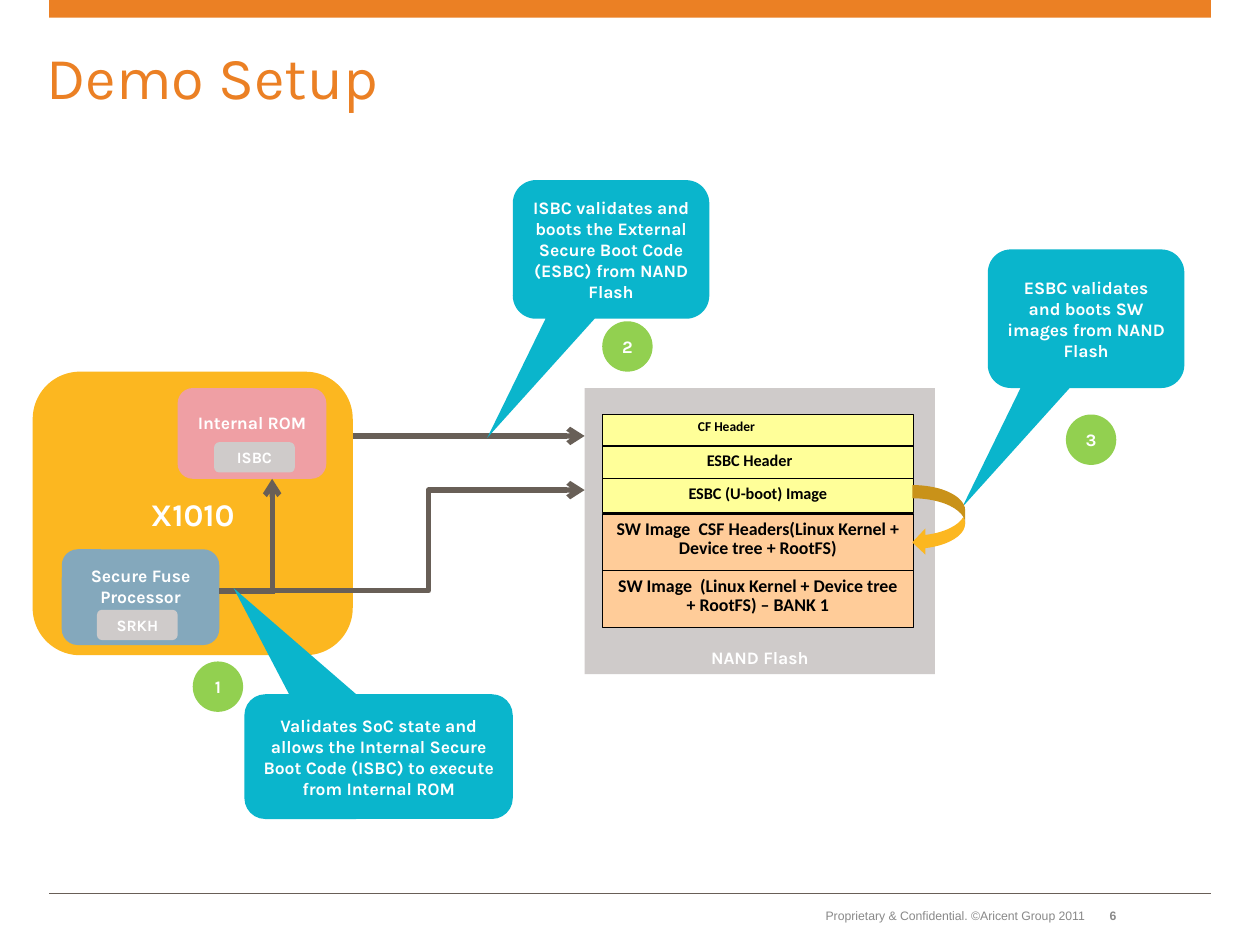
from lxml import etree
from pptx import Presentation
from pptx import util as u
from pptx.dml.color import RGBColor
from pptx.enum import shapes, text
from pptx.oxml.ns import qn

PX = 9144
WHITE = RGBColor(0xFF, 0xFF, 0xFF)
BLACK = RGBColor(0x00, 0x00, 0x00)
ORANGE = RGBColor(0xEB, 0x80, 0x24)
AMBER = RGBColor(0xFC, 0xB7, 0x20)
PINK = RGBColor(0xEF, 0x9F, 0xA4)
STEEL = RGBColor(0x84, 0xA8, 0xBC)
SILVER = RGBColor(0xCF, 0xCB, 0xCA)
YELLOW = RGBColor(0xFF, 0xFF, 0x99)
PEACH = RGBColor(0xFF, 0xCC, 0x99)
CYAN = RGBColor(0x0A, 0xB5, 0xCC)
GREEN = RGBColor(0x92, 0xD0, 0x50)
BROWN = RGBColor(0x68, 0x5F, 0x57)
GREY = RGBColor(0x89, 0x89, 0x89)

KIND = shapes.MSO_SHAPE
LINK = shapes.MSO_CONNECTOR
ANCHOR = text.MSO_ANCHOR
ALIGN = text.PP_ALIGN

deck = Presentation()
deck.slide_width, deck.slide_height = 1000 * PX, 750 * PX
slide = deck.slides.add_slide(deck.slide_layouts[5])


def box(kind, x, y, w, h, fill, words="", size=10, face="Karla", color=WHITE):
    shape = slide.shapes.add_shape(kind, x * PX, y * PX, w * PX, h * PX)
    shape.shadow.inherit = False
    shape.fill.solid()
    shape.fill.fore_color.rgb = fill
    shape.line.fill.background()
    if words:
        frame = shape.text_frame
        frame.word_wrap = True
        frame.vertical_anchor = ANCHOR.MIDDLE
        para = frame.paragraphs[0]
        para.text = words
        para.alignment = ALIGN.CENTER
        para.font.size = u.Pt(size)
        para.font.name = face
        para.font.bold = True
        para.font.color.rgb = color
    return shape


def link(kind, x1, y1, x2, y2, width, arrow):
    line = slide.shapes.add_connector(kind, x1 * PX, y1 * PX, x2 * PX, y2 * PX)
    line.line.color.rgb = BROWN
    line.line.width = u.Pt(width)
    if arrow:
        etree.SubElement(line.line._get_or_add_ln(), qn("a:tailEnd"), type="arrow")
    etree.SubElement(line._element.spPr, qn("a:effectLst"))


link(LINK.STRAIGHT, 39, 709, 961, 709, 0.25, False)
box(KIND.RECTANGLE, 39, 0, 922, 14, ORANGE)

title = slide.shapes.title
title.left, title.top, title.width, title.height = 37 * PX, 41 * PX, 926 * PX, 104 * PX
frame = title.text_frame
frame.margin_left = frame.margin_right = frame.margin_top = frame.margin_bottom = 0
frame.vertical_anchor = ANCHOR.TOP
para = frame.paragraphs[0]
para.text = "Demo Setup"
para.alignment = ALIGN.LEFT
para.line_spacing = u.Pt(34)
para.font.size = u.Pt(34)
para.font.name = "Karla"
para.font.color.rgb = ORANGE

for x, w, words, bold in [
    (434, 427, "Proprietary & Confidential. ©Aricent Group 2011", False),
    (862, 24, "6", True),
]:
    note = slide.shapes.add_textbox(x * PX, 707 * PX, w * PX, 40 * PX)
    frame = note.text_frame
    frame.word_wrap = True
    frame.margin_left = frame.margin_right = frame.margin_top = frame.margin_bottom = 0
    frame.vertical_anchor = ANCHOR.MIDDLE
    para = frame.paragraphs[0]
    para.text = words
    para.alignment = ALIGN.RIGHT
    para.font.size = u.Pt(7)
    para.font.name = "Arial"
    para.font.bold = bold
    para.font.color.rgb = GREY

box(KIND.ROUNDED_RECTANGLE, 26, 295, 254, 225, AMBER, "X1010", 18)
for x, y, w, h, fill, words in [
    (141, 308, 118, 72, PINK, "Internal ROM"),
    (49, 436, 125, 76, STEEL, "Secure Fuse Processor"),
]:
    unit = box(KIND.ROUNDED_RECTANGLE, x, y, w, h, fill, words)
    unit.text_frame.margin_bottom = 22 * PX

flash = box(KIND.RECTANGLE, 464, 308, 278, 227, SILVER, "NAND Flash")
flash.text_frame.vertical_anchor = ANCHOR.BOTTOM

for y, h, fill, words, size, space, inset in [
    (329, 25, YELLOW, "CF Header", 7.7, 0.8, 76),
    (354, 26, YELLOW, "ESBC Header", 9.3, 0.9, 83),
    (380, 27, YELLOW, "ESBC (U-boot) Image", 9.3, 0.9, 0),
    (408, 45, PEACH, "SW Image  CSF Headers(Linux Kernel + Device tree + RootFS)", 10.2, 0.9, 0),
    (453, 45, PEACH, "SW Image  (Linux Kernel + Device tree + RootFS) – BANK 1", 10.2, 0.9, 0),
]:
    row = box(KIND.RECTANGLE, 478, y, 247, h, fill, words, size, "Calibri", BLACK)
    row.line.color.rgb = BLACK
    row.line.width = u.Pt(0.75)
    frame = row.text_frame
    frame.vertical_anchor = ANCHOR.TOP
    para = frame.paragraphs[0]
    para.line_spacing = space
    if inset:
        para.alignment = ALIGN.LEFT
        frame.margin_left = inset * PX

link(LINK.STRAIGHT, 218, 469, 174, 469, 3, False)
link(LINK.STRAIGHT, 216, 469, 216, 380, 3, True)
link(LINK.STRAIGHT, 280, 346, 464, 346, 3, True)

for x, y, w, h, tip, words in [
    (194, 551, 213, 99, (-0.54, -1.35),
     "Validates SoC state and allows the Internal Secure Boot Code (ISBC) to execute from Internal ROM"),
    (407, 143, 156, 110, (-0.63, 1.36),
     "ISBC validates and boots the External Secure Boot Code (ESBC) from NAND Flash"),
    (784, 198, 156, 110, (-0.63, 1.36),
     "ESBC validates and boots SW images from NAND Flash"),
]:
    call = box(KIND.ROUNDED_RECTANGULAR_CALLOUT, x, y, w, h, CYAN, words)
    call.adjustments[0], call.adjustments[1] = tip

for x, y, words in [(77, 484, "SRKH"), (170, 351, "ISBC")]:
    box(KIND.ROUNDED_RECTANGLE, x, y, 64, 24, SILVER, words, 9)

box(KIND.CURVED_LEFT_ARROW, 724, 385, 42, 56, AMBER)
link(LINK.ELBOW, 216, 469, 464, 389, 3, True)

for num, (x, y) in enumerate([(153, 525), (478, 255), (846, 329)], 1):
    box(KIND.OVAL, x, y, 40, 40, GREEN, str(num))

deck.save("out.pptx")
